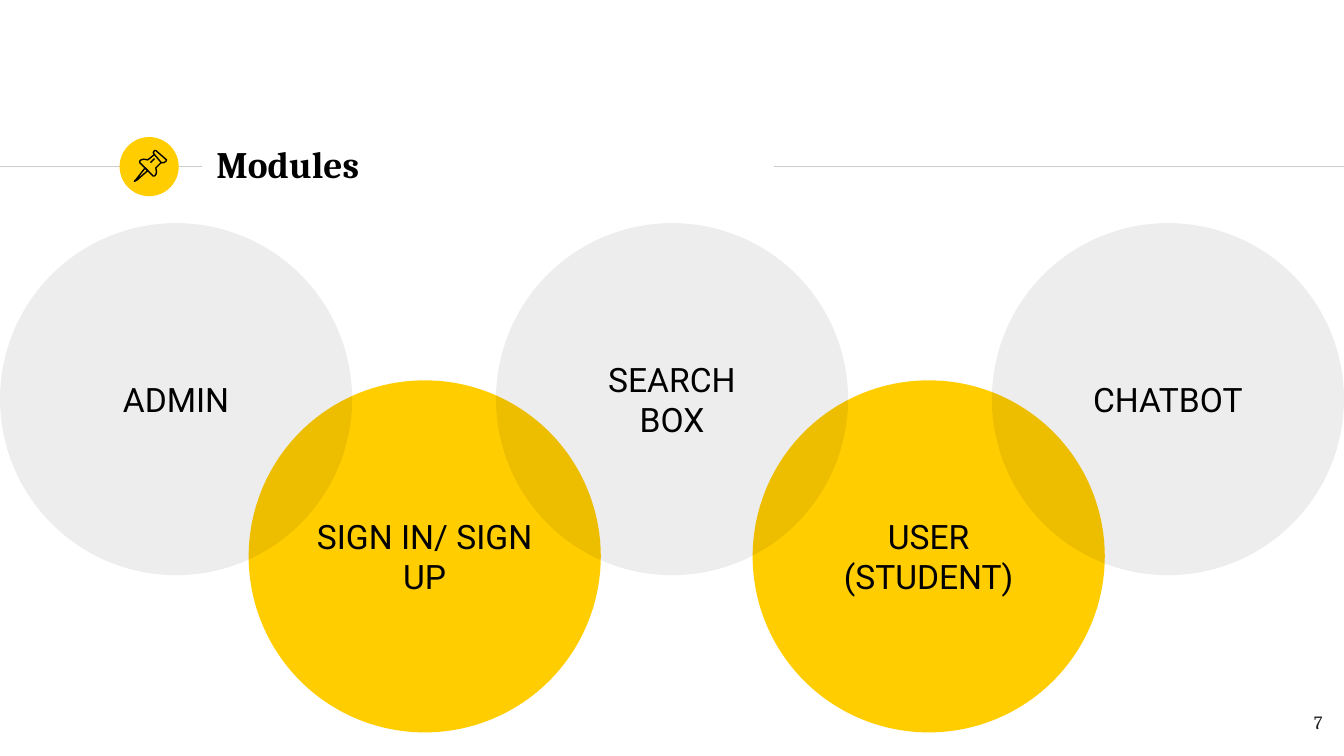
from lxml import etree
from pptx import Presentation
from pptx import util as u
from pptx.dml.color import RGBColor
from pptx.enum import shapes, text
from pptx.oxml.ns import qn

COLS, ROWS = 100, 56.25
CELL = u.Inches(0.1)
YELLOW, BLACK, RULE, INK = "FFCD00", "000000", "CCCCCC", "1D1D1B"
SERIF, SANS = "Cambria", "Roboto"


def grid(cells):
    return u.Emu(round(cells * CELL))


def color(hex_string):
    return RGBColor.from_string(hex_string)


class ModuleSlide:
    """Holds the slide and its style; all lengths are grid cells."""

    def __init__(self, prs):
        self.slide = prs.slides.add_slide(prs.slide_layouts[5])
        self.shapes = self.slide.shapes

    def set_lines(self, frame, lines, size, font, ink=BLACK, bold=False,
                  align=text.PP_ALIGN.LEFT, anchor=text.MSO_ANCHOR.MIDDLE):
        frame.word_wrap = True
        frame.auto_size = text.MSO_AUTO_SIZE.NONE
        frame.vertical_anchor = anchor
        frame.margin_left = frame.margin_right = grid(1)
        frame.margin_top = frame.margin_bottom = grid(1)
        for i, line in enumerate(lines):
            paragraph = frame.add_paragraph() if i else frame.paragraphs[0]
            paragraph.alignment = align
            run = paragraph.add_run()
            run.text = line
            run.font.size, run.font.name, run.font.bold = u.Pt(size), font, bold
            run.font.color.rgb = color(ink)

    def title(self, words, left, top, width, height):
        title = self.shapes.title
        title.left, title.top = grid(left), grid(top)
        title.width, title.height = grid(width), grid(height)
        self.set_lines(title.text_frame, [words], 20, SERIF, bold=True)

    def page_number(self, number, left, top, width, height):
        box = self.shapes.add_textbox(*map(grid, (left, top, width, height)))
        self.set_lines(box.text_frame, [number], 10, SERIF, INK,
                       align=text.PP_ALIGN.RIGHT, anchor=text.MSO_ANCHOR.TOP)

    def rule(self, start, end, row):
        line = self.shapes.add_connector(
            shapes.MSO_CONNECTOR.STRAIGHT, *map(grid, (start, row, end, row)))
        line.line.color.rgb = color(RULE)
        line.line.width = u.Pt(0.75)
        etree.SubElement(line._element.spPr, qn("a:effectLst"))

    def circle(self, left, top, size, fill, lines=(), alpha=None):
        disc = self.shapes.add_shape(
            shapes.MSO_SHAPE.OVAL, *map(grid, (left, top, size, size)))
        disc.shadow.inherit = False
        disc.line.fill.background()
        disc.fill.solid()
        disc.fill.fore_color.rgb = color(fill)
        if alpha is not None:
            tint = disc._element.spPr.find(qn("a:solidFill"))[0]
            etree.SubElement(tint, qn("a:alpha"), val=str(alpha * 1000))
        self.set_lines(disc.text_frame, lines, 18, SANS,
                       align=text.PP_ALIGN.CENTER)

    def outline(self, points, closed):
        fine = [(round(x * 100), round(y * 100)) for x, y in points]
        builder = self.shapes.build_freeform(*fine[0], scale=CELL / 100)
        builder.add_line_segments(fine[1:], close=closed)
        stroke = builder.convert_to_shape()
        stroke.shadow.inherit = False
        stroke.fill.background()
        stroke.line.color.rgb = color(BLACK)
        stroke.line.width = u.Pt(0.75)


def main():
    prs = Presentation()
    prs.slide_width, prs.slide_height = grid(COLS), grid(ROWS)
    page = ModuleSlide(prs)

    # Heading with its rules and badge
    page.rule(0, 15, 12.4)
    page.circle(8.9, 10.2, 4.4, YELLOW)
    page.rule(57.6, COLS, 12.4)
    page.title("Modules", 15.1, 9.8, 42.4, 4.8)

    # Pushpin: needle, cap, body, highlight
    needle = [(10.8, 12.5), (10.1, 13.4), (10, 13.5), (10.2, 13.4), (11, 12.7)]
    cap = [(11.5, 11.5), (12, 12.1), (12.2, 12.1), (12.35, 12), (12.4, 11.9),
           (11.6, 11.2), (11.5, 11.2), (11.4, 11.35)]
    body = [(11.5, 11.5), (11, 11.9), (10.7, 11.85), (10.5, 11.9), (10.4, 12),
            (10.4, 12.1), (11.4, 13.1), (11.5, 13.1), (11.6, 13),
            (11.65, 12.8), (11.6, 12.5), (12, 12.1)]
    highlight = [(11.2, 12.1), (11.5, 11.8)]
    for points, closed in ((needle, True), (cap, True),
                           (body, False), (highlight, False)):
        page.outline(points, closed)

    # Overlapping modules: lower yellow row, then the translucent upper row
    size = 26.2
    lower = [["SIGN IN/ SIGN UP"], ["USER (STUDENT)"]]
    upper = [["ADMIN"], ["SEARCH", "BOX"], ["CHATBOT"]]
    for i, lines in enumerate(lower):
        page.circle(18.5 + i * 37.5, 28.3, size, YELLOW, lines)
    for i, lines in enumerate(upper):
        page.circle(i * (COLS - size) / 2, 16.6, size, BLACK, lines, alpha=7)

    # Page number
    page.page_number("7", 93.4, 51.9, 6, 4.3)

    prs.save("out.pptx")


if __name__ == "__main__":
    main()
